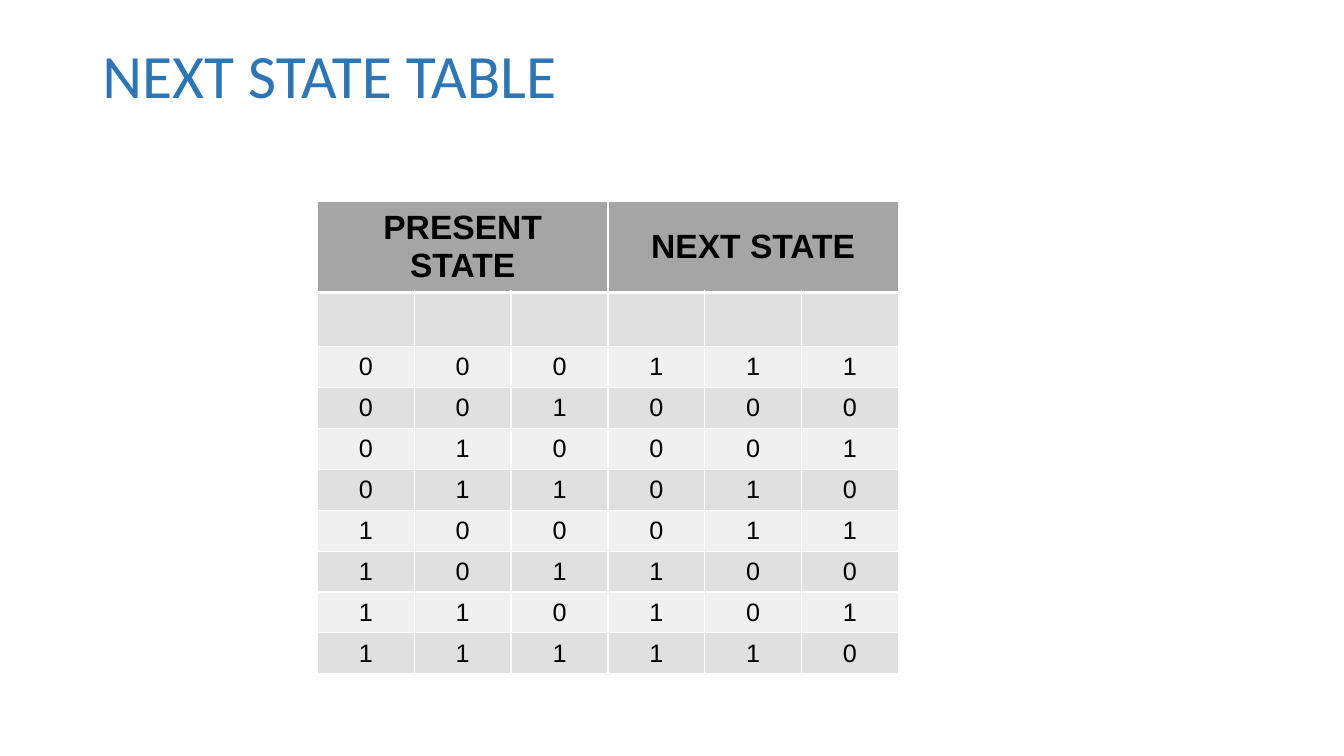
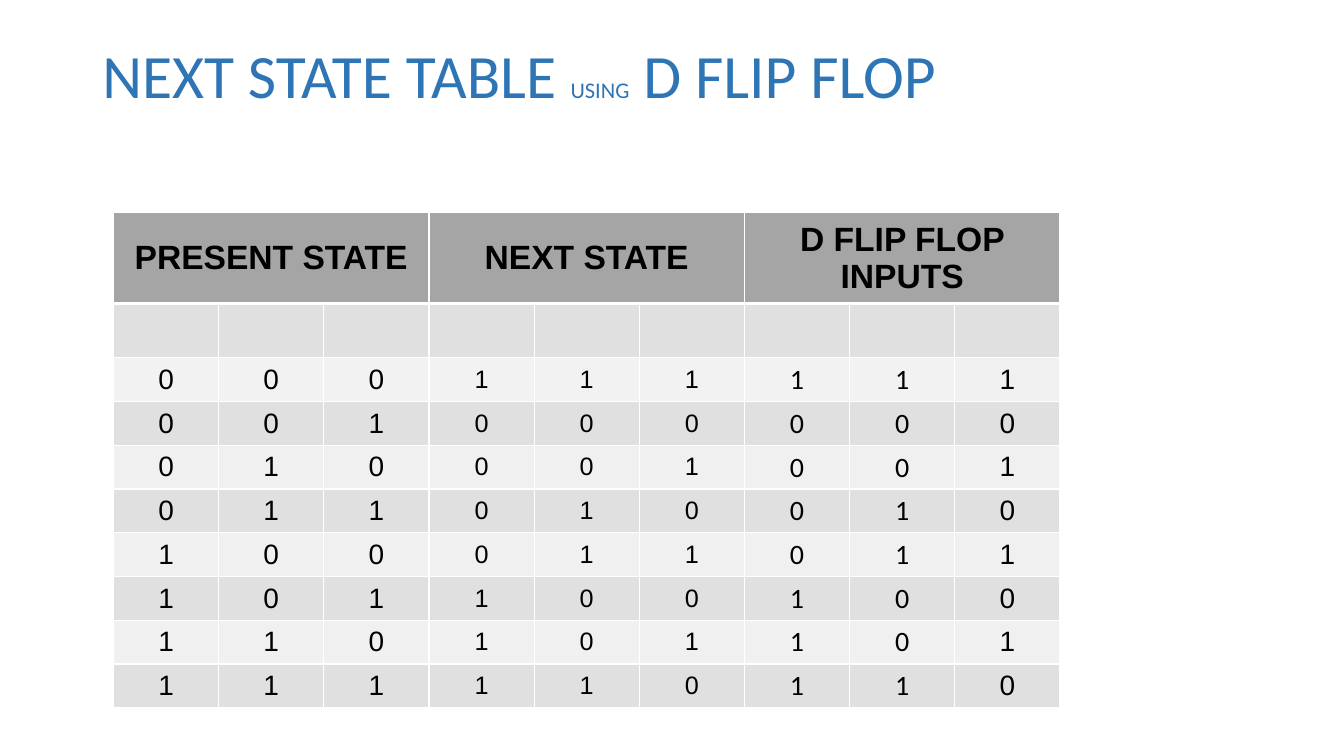
from pptx import Presentation
from pptx.dml.color import RGBColor
from pptx.enum.text import MSO_ANCHOR, PP_ALIGN
from pptx.oxml import parse_xml
from pptx.oxml.ns import nsdecls
from pptx.util import Cm, Pt

MIDDLE, TOP = MSO_ANCHOR.MIDDLE, MSO_ANCHOR.TOP
CENTER = PP_ALIGN.CENTER

COLORS = {
    "title": "2E75B5",
    "text": "000000",
    "header": "A5A5A5",
    "dark": "E0E0E0",
    "light": "F0F0F0",
    "pale": "F2F2F2",
    "border": "FFFFFF",
}
TITLE = {"name": "Calibri", "size": Pt(44)}
SMALL_TITLE = {**TITLE, "size": Pt(16)}
HEADER = {"name": "Arial", "size": Pt(24), "bold": True}
DIGIT = {"name": "Arial", "size": Pt(18), "bold": False}
LARGE_DIGIT = {**DIGIT, "size": Pt(20)}
INPUT_DIGIT = {**LARGE_DIGIT, "name": "Calibri"}

STATE_BITS = 3
STATE_COUNT = 2 ** STATE_BITS
HEADER_HEIGHT, LABEL_HEIGHT = 1.27, 1.37


def bits(state):
    return format(state % STATE_COUNT, f"0{STATE_BITS}b")


class StateDeck:
    def __init__(self):
        self.deck = Presentation()
        self.deck.slide_width = Cm(33.87)
        self.deck.slide_height = Cm(19.05)
        self.page = None

    def add_page(self):
        self.page = self.deck.slides.add_slide(self.deck.slide_layouts[6])

    def style(self, font, values, color):
        for name, value in values.items():
            setattr(font, name, value)
        font.color.rgb = RGBColor.from_string(COLORS[color])

    def title(self, *spans):
        box = self.page.shapes.add_textbox(Cm(2.33), Cm(1.01), Cm(29.21), Cm(3.68))
        frame = box.text_frame
        frame.word_wrap = True
        frame.vertical_anchor = TOP
        para = frame.paragraphs[0]
        para.line_spacing = 0.9
        for text, values in spans:
            span = para.add_run()
            span.text = text
            self.style(span.font, values, "title")

    def cell(self, cell, text, values, fill, bottom=1):
        properties = cell._tc.get_or_add_tcPr()
        for side, width in (("L", 1), ("R", 1), ("T", 1), ("B", bottom)):
            properties.append(parse_xml(
                f'<a:ln{side} {nsdecls("a")} w="{Pt(width)}"><a:solidFill>'
                f'<a:srgbClr val="{COLORS["border"]}"/></a:solidFill></a:ln{side}>'))
        cell.fill.solid()
        cell.fill.fore_color.rgb = RGBColor.from_string(COLORS[fill])
        cell.vertical_anchor = MIDDLE
        para = cell.text_frame.paragraphs[0]
        para.alignment = CENTER
        self.style(para.font, values, "text")
        if text:
            span = para.add_run()
            span.text = text
            self.style(span.font, values, "text")

    def state_table(self, left, top, column_width, row_height, headings, formats, first_fills):
        columns = len(formats)
        heights = [HEADER_HEIGHT, LABEL_HEIGHT] + [row_height] * STATE_COUNT
        table = self.page.shapes.add_table(
            len(heights), columns, Cm(left), Cm(top),
            Cm(column_width * columns), Cm(sum(heights))).table
        table.first_row = table.horz_banding = False
        for column in table.columns:
            column.width = Cm(column_width)
        for row, height in zip(table.rows, heights):
            row.height = Cm(height)

        for index in range(columns):
            group, offset = divmod(index, STATE_BITS)
            heading = "" if offset else headings[group]
            self.cell(table.cell(0, index), heading, HEADER, "header", bottom=3)
            self.cell(table.cell(1, index), "", DIGIT, "dark")
        for start in range(0, columns, STATE_BITS):
            table.cell(0, start).merge(table.cell(0, start + STATE_BITS - 1))

        for state in range(STATE_COUNT):
            digits = bits(state) + bits(state - 1) * (len(headings) - 1)
            band = "dark" if state % 2 else "light"
            fills = [band] * columns if state else first_fills
            for index, (digit, values, fill) in enumerate(zip(digits, formats, fills)):
                self.cell(table.cell(state + 2, index), digit, values, fill)


def main():
    slides = StateDeck()

    slides.add_page()
    slides.title(("NEXT STATE TABLE", TITLE))
    slides.state_table(8, 5.08, 2.44, 1.03, ["PRESENT STATE", "NEXT STATE"],
                       [DIGIT] * 6, ["light"] * 6)

    slides.add_page()
    slides.title(("NEXT STATE TABLE ", TITLE), ("USING", SMALL_TITLE),
                 (" D FLIP FLOP", TITLE))
    slides.state_table(2.86, 5.36, 2.65, 1.1,
                       ["PRESENT STATE", "NEXT STATE", "D FLIP FLOP INPUTS"],
                       [LARGE_DIGIT] * 3 + [DIGIT] * 3 + [INPUT_DIGIT] * 2 + [LARGE_DIGIT],
                       ["pale"] * 8 + ["light"])

    slides.deck.save("out.pptx")


if __name__ == "__main__":
    main()
